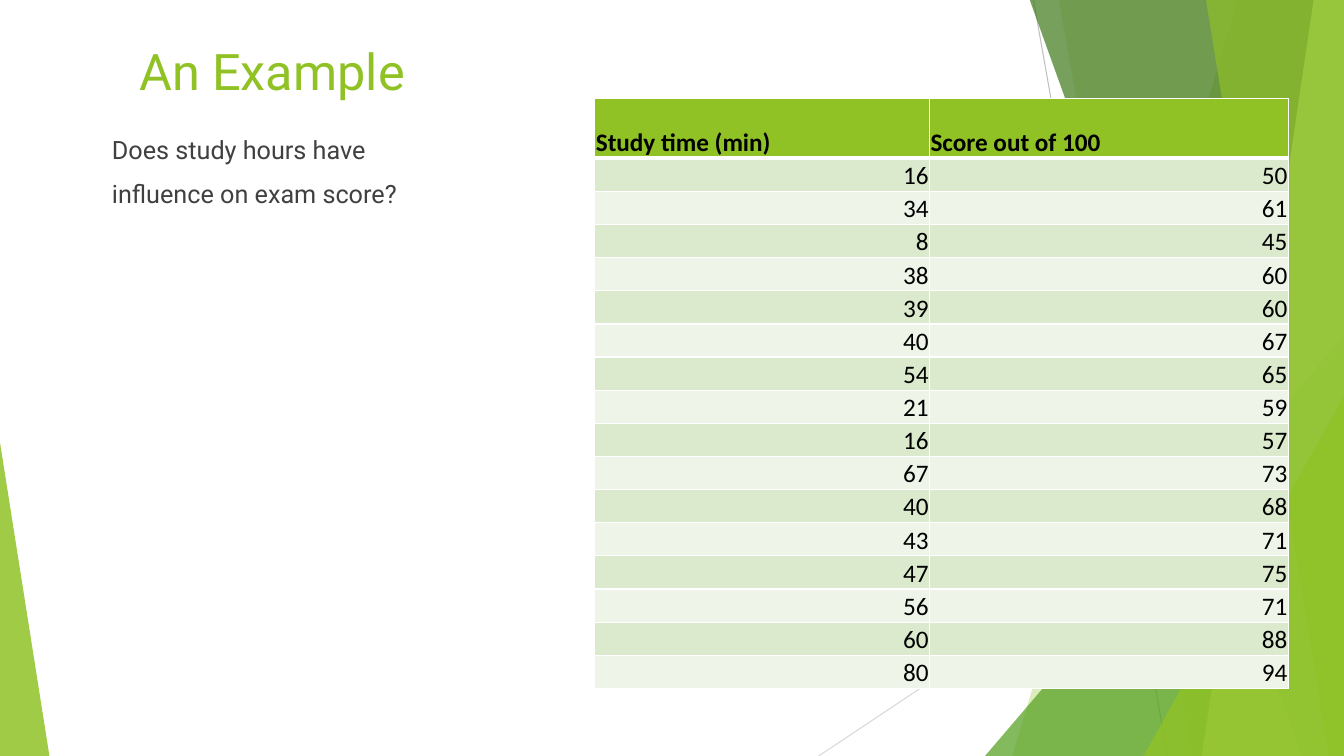
from dataclasses import dataclass

import pptx
import pptx.dml.color
import pptx.enum.shapes
import pptx.enum.text
import pptx.oxml
import pptx.oxml.ns
import pptx.util
from pptx.dml.color import RGBColor
from pptx.util import Inches

LIME = RGBColor(0x90, 0xC2, 0x26)
GREEN = RGBColor(0x54, 0xA0, 0x21)
DARK_GREEN = RGBColor(0x3F, 0x78, 0x19)
PALE_LIME = RGBColor(0xC0, 0xE4, 0x74)
BAND_DARK = RGBColor(0xDB, 0xE9, 0xCD)
BAND_LIGHT = RGBColor(0xEE, 0xF4, 0xE8)
GREY = RGBColor(0xBF, 0xBF, 0xBF)
LIGHT_GREY = RGBColor(0xD9, 0xD9, 0xD9)
TEXT_GREY = RGBColor(0x40, 0x40, 0x40)
BLACK = RGBColor(0, 0, 0)
WHITE = RGBColor(0xFF, 0xFF, 0xFF)

WIDTH, HEIGHT = 13.33, 7.5
TOP = -0.01


@dataclass
class Ray:
    start: tuple[float, float]
    end: tuple[float, float]
    color: RGBColor


@dataclass
class Band:
    """Panel from the right edge to a slanted left side."""
    top_x: float
    bottom_x: float
    color: RGBColor
    opacity: int


@dataclass
class Corner:
    """Triangle standing on the bottom edge, with its peak at one side."""
    left: float
    top: float
    width: float
    peak: float
    color: RGBColor
    opacity: int


DECORATION = [
    Ray((10.25, 0), (11.58, HEIGHT), GREY),
    Ray((WIDTH, 4.03), (8.12, HEIGHT), LIGHT_GREY),
    Band(12.28, 10.04, LIME, 30),
    Band(10.5, 11.83, LIME, 20),
    Corner(9.77, 3.33, 3.56, 1, GREEN, 72),
    Band(10.21, 12.91, DARK_GREEN, 70),
    Band(13.03, 11.92, PALE_LIME, 70),
    Band(11.96, 13.18, LIME, 65),
    Corner(11.34, 3.93, 1.99, 1, LIME, 80),
    Corner(0, 4.39, 0.49, 0, LIME, 85),
]

HEADERS = ("Study time (min)", "Score out of 100")
SCORES = [
    (16, 50), (34, 61), (8, 45), (38, 60), (39, 60), (40, 67), (54, 65), (21, 59),
    (16, 57), (67, 73), (40, 68), (43, 71), (47, 75), (56, 71), (60, 88), (80, 94),
]
COLUMN_WIDTHS = (3.32, 3.56)
HEADER_HEIGHT, TABLE_HEIGHT = 0.59, 5.85


def paint(shape, color: RGBColor, opacity: int) -> None:
    shape.shadow.inherit = False
    shape.line.fill.background()
    shape.fill.solid()
    shape.fill.fore_color.rgb = color
    color_element = shape.fill._xPr.find(".//" + pptx.oxml.ns.qn("a:srgbClr"))
    color_element.append(pptx.oxml.parse_xml(
        f'<a:alpha {pptx.oxml.ns.nsdecls("a")} val="{opacity * 1000}"/>'))


def draw_ray(slide, ray: Ray) -> None:
    connector = slide.shapes.add_connector(
        pptx.enum.shapes.MSO_CONNECTOR.STRAIGHT,
        *(Inches(value) for value in ray.start + ray.end))
    connector.line.color.rgb = ray.color
    connector.line.width = pptx.util.Pt(0.75)
    connector._element.spPr.append(pptx.oxml.parse_xml(
        f'<a:effectLst {pptx.oxml.ns.nsdecls("a")}/>'))


def draw_band(slide, band: Band) -> None:
    outline = slide.shapes.build_freeform(Inches(band.top_x), Inches(TOP))
    corners = [(WIDTH, TOP), (WIDTH, HEIGHT), (band.bottom_x, HEIGHT)]
    outline.add_line_segments([(Inches(x), Inches(y)) for x, y in corners], close=True)
    paint(outline.convert_to_shape(), band.color, band.opacity)


def draw_corner(slide, corner: Corner) -> None:
    shape = slide.shapes.add_shape(
        pptx.enum.shapes.MSO_SHAPE.ISOSCELES_TRIANGLE,
        Inches(corner.left), Inches(corner.top),
        Inches(corner.width), Inches(HEIGHT - corner.top))
    shape.adjustments[0] = corner.peak
    paint(shape, corner.color, corner.opacity)


DRAWERS = {Ray: draw_ray, Band: draw_band, Corner: draw_corner}


def add_run(paragraph, text: str, size: float, font: str, color: RGBColor,
            bold: bool = False) -> None:
    run = paragraph.add_run()
    run.text = text
    run.font.size = pptx.util.Pt(size)
    run.font.name = font
    run.font.color.rgb = color
    run.font.bold = bold


def place(shape, left: float, top: float, width: float, height: float, anchor) -> None:
    shape.left, shape.top = Inches(left), Inches(top)
    shape.width, shape.height = Inches(width), Inches(height)
    shape.text_frame.word_wrap = True
    shape.text_frame.auto_size = pptx.enum.text.MSO_AUTO_SIZE.NONE
    shape.text_frame.vertical_anchor = anchor


def fill_title(title) -> None:
    place(title, 1.28, 0.31, 10.92, 0.78, pptx.enum.text.MSO_ANCHOR.MIDDLE)
    paragraph = title.text_frame.paragraphs[0]
    paragraph.alignment = pptx.enum.text.PP_ALIGN.LEFT
    add_run(paragraph, "An Example", 36, "Roboto", LIME)


def fill_body(body) -> None:
    place(body, 1.01, 1.28, 10.12, 6.22, pptx.enum.text.MSO_ANCHOR.TOP)
    frame = body.text_frame
    for index, text in enumerate(("Does study hours have", "influence on exam score?")):
        paragraph = frame.add_paragraph() if index else frame.paragraphs[0]
        paragraph.space_before = pptx.util.Pt(10)
        properties = paragraph._p.get_or_add_pPr()
        properties.set("marL", "0")
        properties.set("indent", "0")
        properties.append(pptx.oxml.parse_xml(
            f'<a:buNone {pptx.oxml.ns.nsdecls("a")}/>'))
        add_run(paragraph, text, 18, "Roboto", TEXT_GREY)


def fill_cell(cell, text: str, fill: RGBColor, is_header: bool) -> None:
    properties = cell._tc.get_or_add_tcPr()
    for side in "LRTB":
        points = 3 if is_header and side == "B" else 1
        properties.append(pptx.oxml.parse_xml(
            f'<a:ln{side} {pptx.oxml.ns.nsdecls("a")} w="{pptx.util.Pt(points)}">'
            f'<a:solidFill><a:srgbClr val="{WHITE}"/></a:solidFill></a:ln{side}>'))
    cell.fill.solid()
    cell.fill.fore_color.rgb = fill
    cell.margin_left = cell.margin_right = cell.margin_top = Inches(0.01)
    cell.margin_bottom = 0
    cell.vertical_anchor = pptx.enum.text.MSO_ANCHOR.BOTTOM
    paragraph = cell.text_frame.paragraphs[0]
    align = pptx.enum.text.PP_ALIGN
    paragraph.alignment = align.LEFT if is_header else align.RIGHT
    add_run(paragraph, text, 18, "Calibri", BLACK, is_header)


def draw_score_table(slide) -> None:
    rows = [HEADERS, *SCORES]
    table = slide.shapes.add_table(
        len(rows), len(HEADERS), Inches(5.9), Inches(0.98),
        Inches(sum(COLUMN_WIDTHS)), Inches(TABLE_HEIGHT)).table
    for column, width in zip(table.columns, COLUMN_WIDTHS):
        column.width = Inches(width)
    score_height = (TABLE_HEIGHT - HEADER_HEIGHT) / len(SCORES)
    for row_index, values in enumerate(rows):
        is_header = row_index == 0
        table.rows[row_index].height = Inches(HEADER_HEIGHT if is_header else score_height)
        band = BAND_DARK if row_index % 2 else BAND_LIGHT
        for column_index, value in enumerate(values):
            fill_cell(table.cell(row_index, column_index), str(value),
                      LIME if is_header else band, is_header)


def main() -> None:
    presentation = pptx.Presentation()
    presentation.slide_width, presentation.slide_height = Inches(WIDTH), Inches(HEIGHT)
    slide = presentation.slides.add_slide(presentation.slide_layouts[1])

    # Green panels and thin rays
    for item in DECORATION:
        DRAWERS[type(item)](slide, item)

    # Title and question
    fill_title(slide.shapes.title)
    fill_body(slide.placeholders[1])

    # Study times and scores
    draw_score_table(slide)

    presentation.save("out.pptx")


if __name__ == "__main__":
    main()
